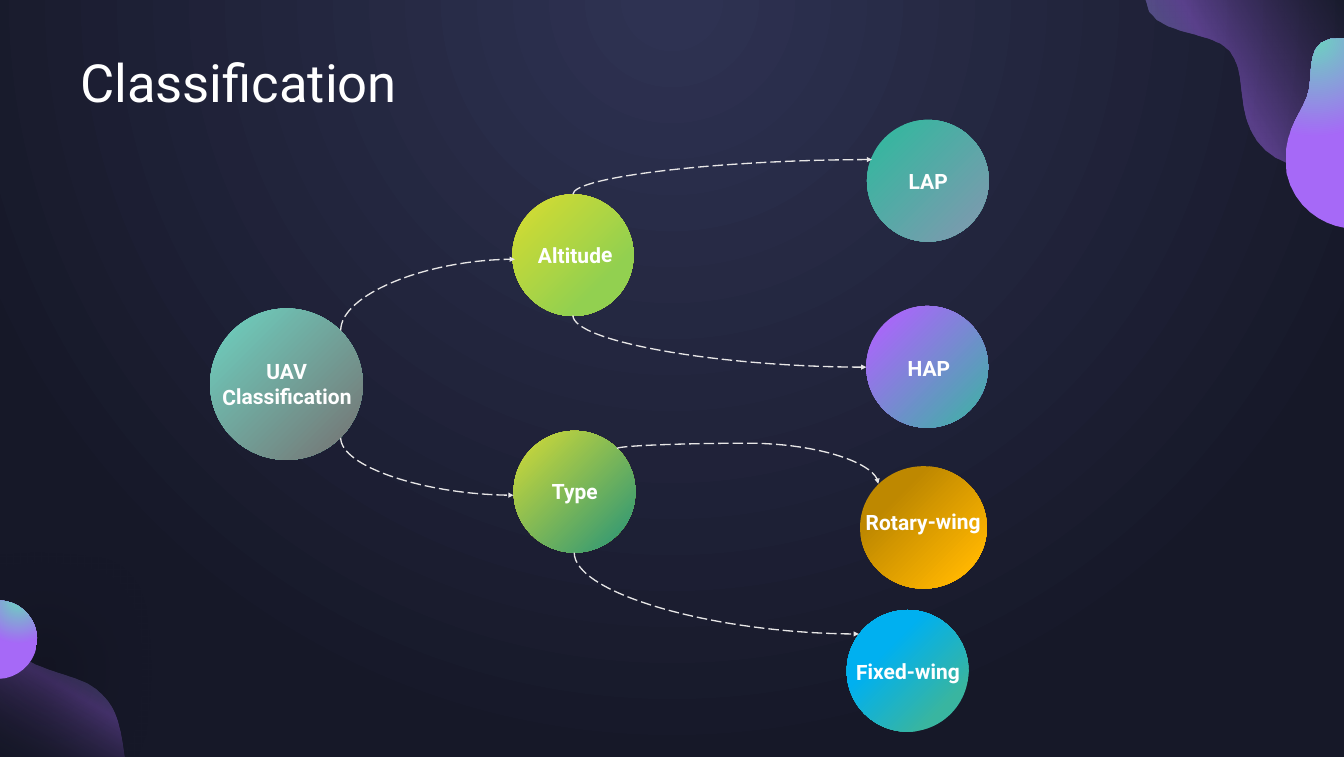
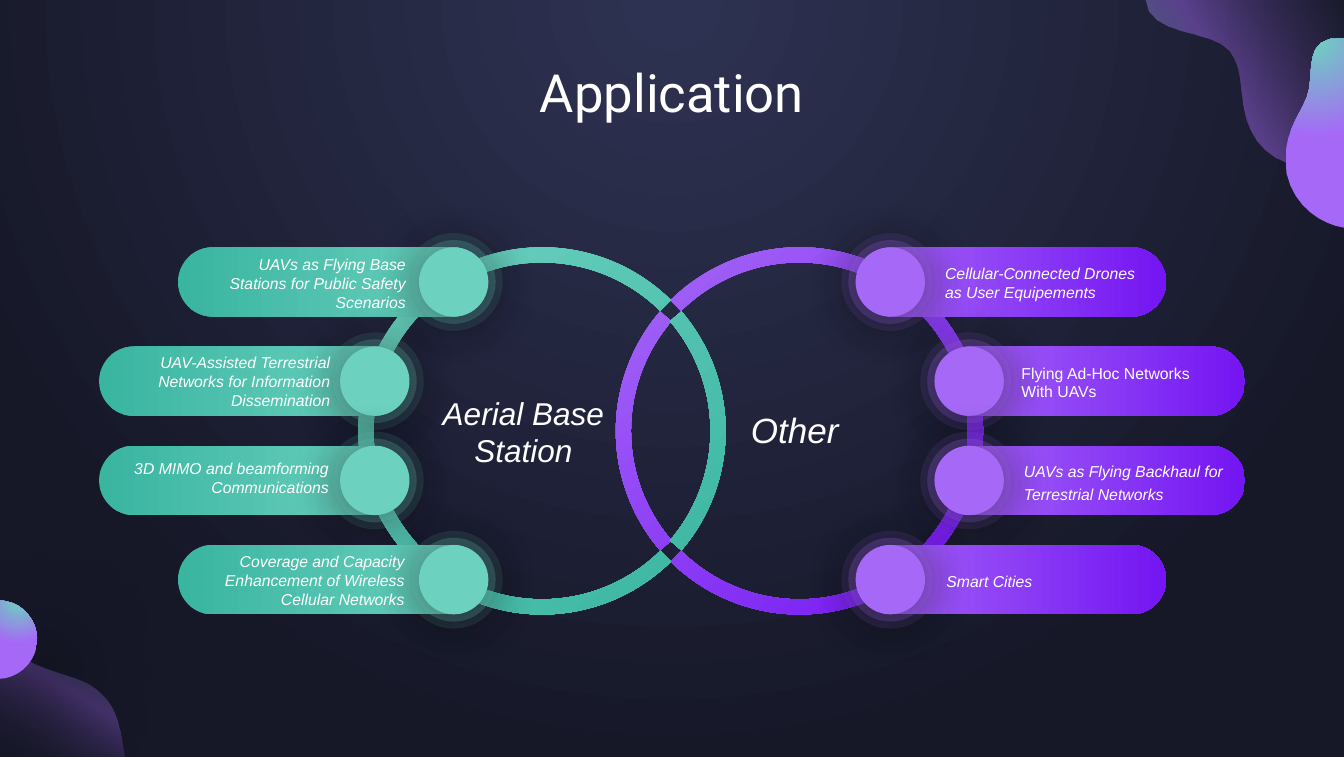
import math
from dataclasses import dataclass
from typing import Any, Optional

import lxml.etree
import pptx
import pptx.dml.color
import pptx.dml.fill
import pptx.enum.dml
import pptx.enum.shapes
import pptx.enum.text
import pptx.oxml.ns
import pptx.shapes.autoshape
import pptx.slide
import pptx.util

COLUMNS, ROWS = 213, 120
CELL = pptx.util.Inches(0.1)
COLOURS = {
    "white": "FFFFFF", "black": "000000", "arrow": "E7E6E6",
    "night": "161828", "dusk": "2E3252", "navy": "181B2C",
    "lilac": "A669F7", "violet": "7415F3", "mint": "6DD1C0", "teal": "39B5A0",
    "lemon": "D8DC30", "lime": "92D050", "olive": "D3DB37", "pine": "259379",
    "steel": "8497B0", "stone": "767171", "bronze": "BE8800", "amber": "FEB500",
    "sky": "00B0F0",
}
LEFT = pptx.enum.text.PP_ALIGN.LEFT
CENTER = pptx.enum.text.PP_ALIGN.CENTER
RIGHT = pptx.enum.text.PP_ALIGN.RIGHT
OVAL = pptx.enum.shapes.MSO_SHAPE.OVAL
PILL = pptx.enum.shapes.MSO_SHAPE.ROUNDED_RECTANGLE
RING_ARC = pptx.enum.shapes.MSO_SHAPE.BLOCK_ARC
Point = tuple[float, float]
Box = tuple[float, float, float, float]


@dataclass(frozen=True)
class Gradient:
    stops: tuple[tuple, ...]
    angle: float = 45
    focus: Optional[tuple[int, int, int, int]] = None


@dataclass(frozen=True)
class Shadow:
    opacity: int
    blur: float
    distance: float
    angle: float


@dataclass(frozen=True)
class Blob:
    start: Point
    segments: tuple[tuple[Point, ...], ...]
    gradient: Gradient
    shadow: Optional[Shadow] = None


@dataclass(frozen=True)
class TextStyle:
    font: str
    size: int
    bold: bool = False
    italic: bool = False


@dataclass(frozen=True)
class Category:
    label: str
    circle: Box
    caption: Box
    gradient: Gradient


@dataclass(frozen=True)
class Branch:
    start: Point
    end: Point
    bulge: Optional[float] = None


@dataclass(frozen=True)
class Side:
    light: str
    deep: str
    facing: int
    align: Any


@dataclass(frozen=True)
class UseCase:
    label: str
    side: Side
    row: int
    caption: Box
    italic: bool = True
    spacing: Optional[float] = None


OVERHEAD = (50, -80, 50, 180)
BACKDROP = Gradient(((2, "dusk"), (100, "night")), focus=OVERHEAD)
GLOW = Gradient(((2, "mint"), (100, "lilac")), focus=OVERHEAD)
BLOBS = (
    Blob((0, 100.9), (((3.6, 106.6), (12.3, 106.6), (15.2, 109.2)),
                      ((18.2, 111.7), (18.9, 113.6), (19.8, 120)), ((0, 120),)),
         Gradient(((0, "navy", 3), (55, "lilac", 33), (100, "mint", 4)), 300)),
    Blob((0, 95.2), (((0.9, 95.3),), ((3.7, 95.8), (5.9, 98.4), (5.9, 101.4)),
                     ((5.9, 104.4), (3.7, 106.9), (0.9, 107.5)), ((0, 107.6),)),
         GLOW, Shadow(60, 100, 49, 45)),
    Blob((181.6, 0), (((182, 6), (192, 4.7), (194.8, 8.1)),
                      ((197.5, 11.6), (195.9, 15.5), (198.1, 20.5)),
                      ((200.4, 25.6), (206, 27.4), (213, 26.5)), ((213, 0),)),
         Gradient(((0, "navy", 25), (55, "lilac", 44), (100, "mint", 40)), 150)),
    Blob((213, 6.1), (((206, 5.5), (208.6, 12), (207.1, 15.5)),
                      ((205.6, 19.1), (203.1, 21.3), (203.9, 27.5)),
                      ((205.1, 32.9), (209.6, 35.6), (213, 36.1))), GLOW),
)
TITLE = TextStyle("Roboto", 60)
CATEGORY = TextStyle("Roboto", 24, bold=True)

CATEGORIES = (
    Category("Altitude", (81.2, 30.8, 19.2, 19.3), (75.8, 37.9, 30.7, 5),
             Gradient(((2, "lemon"), (74, "lime")))),
    Category("LAP", (137.4, 19, 19.3, 19.3), (131.7, 26.2, 30.8, 5),
             Gradient(((15, "teal"), (100, "steel")))),
    Category("Type", (81.4, 68.3, 19.3, 19.3), (76.9, 75.3, 28.4, 5),
             Gradient(((2, "olive"), (100, "pine")))),
    Category("UAV\nClassification", (33.3, 48.9, 24.2, 24), (30.1, 56.3, 30.7, 9.1),
             Gradient(((2, "mint"), (100, "stone")))),
    Category("HAP", (137.3, 48.5, 19.3, 19.3), (133, 55.8, 28.4, 5),
             Gradient(((15, "lilac"), (100, "teal")))),
    Category("Rotary-wing", (136.3, 73.9, 20.1, 19.4), (130.9, 80.2, 30.8, 5),
             Gradient(((26, "bronze"), (85, "amber")))),
    Category("Fixed-wing", (134.2, 96.7, 19.3, 19.3), (129.7, 103.9, 28.4, 5),
             Gradient(((32, "sky"), (80, "teal")), focus=(0, 0, 100, 100))),
)
BRANCHES = (
    Branch((54, 69.4), (81.4, 78.5)),
    Branch((90.8, 50), (137.3, 58.2)),
    Branch((54, 52.4), (81.6, 41.1)),
    Branch((91, 87.6), (136.1, 100.5)),
    Branch((90.8, 30.8), (138.2, 25.3)),
    Branch((97.8, 71.1), (139.2, 76.7), -0.15),
)

STATION = Side("mint", "teal", 180, RIGHT)
OTHER = Side("lilac", "violet", 0, LEFT)
USE_CASES = (
    UseCase("UAVs as Flying Base Stations for Public Safety Scenarios",
            STATION, 0, (31.5, 39.9, 33.8, 9.6)),
    UseCase("UAV-Assisted Terrestrial Networks for Information Dissemination",
            STATION, 1, (15.9, 55.4, 37.4, 9.6)),
    UseCase("3D MIMO and beamforming Communications",
            STATION, 2, (15.7, 72.3, 37.4, 7.1)),
    UseCase("Coverage and Capacity Enhancement of Wireless Cellular Networks",
            STATION, 3, (31.3, 87, 33.8, 9.6)),
    UseCase("Cellular-Connected Drones as User Equipements",
            OTHER, 0, (148.8, 41.3, 33.8, 7.1)),
    UseCase("Flying Ad-Hoc Networks With UAVs",
            OTHER, 1, (160.9, 57.1, 33.8, 7.1), italic=False),
    UseCase("UAVs as Flying Backhaul for Terrestrial Networks",
            OTHER, 2, (161.3, 72.1, 33.8, 8), spacing=1.2),
    UseCase("Smart Cities", OTHER, 3, (149, 90.1, 33.8, 4)),
)
PILL_LEFTS = (28.2, 15.7, 15.7, 28.2)
PILL_TOP, PILL_STEP, PILL_WIDTH, PILL_HEIGHT = 39.2, 15.73, 48.9, 11
KNOB_OFFSET = 43.7
KNOBS = ((15.5, 13, 49), (13.3, 25, 49), (11, 100, 64))
RINGS_CENTRE, RING_OFFSET = (106.3, 68.3), 20.4
RING_RADIUS, RING_THICKNESS = 29.1, 2.4
RING_PARTS = ((-134.6, 134.6), (139.4, 220.6))


def cells(*counts: float) -> list[int]:
    return [round(count * CELL) for count in counts]


def add_node(parent: Any, tag: str, **attributes: Any) -> Any:
    values = {key: str(value) for key, value in attributes.items()}
    return lxml.etree.SubElement(parent, pptx.oxml.ns.qn(tag), values)


def first_node(parent: Any, tag: str) -> Any:
    return next(parent.iter(pptx.oxml.ns.qn(tag)))


def rgb(name: str) -> pptx.dml.color.RGBColor:
    return pptx.dml.color.RGBColor.from_string(COLOURS[name])


def add_colour(parent: Any, name: str, opacity: int = 100) -> None:
    colour = add_node(parent, "a:srgbClr", val=COLOURS[name])
    if opacity < 100:
        add_node(colour, "a:alpha", val=opacity * 1000)


def paint_gradient(fill: pptx.dml.fill.FillFormat, element: Any, gradient: Gradient) -> None:
    fill.gradient()
    node = first_node(element, "a:gradFill")
    for child in list(node):
        node.remove(child)
    stops = add_node(node, "a:gsLst")
    for position, *colour in gradient.stops:
        add_colour(add_node(stops, "a:gs", pos=position * 1000), *colour)
    if gradient.focus is None:
        add_node(node, "a:lin", ang=round(gradient.angle * 60000), scaled=0)
    else:
        sides = {side: share * 1000 for side, share in zip("ltrb", gradient.focus)}
        add_node(add_node(node, "a:path", path="circle"), "a:fillToRect", **sides)


def finish_shape(shape: pptx.shapes.autoshape.Shape, gradient: Optional[Gradient] = None,
                 shadow: Optional[Shadow] = None) -> None:
    shape.line.fill.background()
    shape.shadow.inherit = False
    if gradient:
        paint_gradient(shape.fill, shape.element, gradient)
    if shadow:
        cast = add_node(first_node(shape.element, "a:effectLst"), "a:outerShdw",
                        blurRad=pptx.util.Pt(shadow.blur), dist=pptx.util.Pt(shadow.distance),
                        dir=round(shadow.angle * 60000), algn="ctr", rotWithShape=0)
        add_colour(cast, "black", shadow.opacity)


def trace_curve(controls: tuple[Point, ...], steps: int = 8) -> list[Point]:
    degree = len(controls) - 1
    return [tuple(sum(math.comb(degree, i) * (1 - t) ** (degree - i) * t ** i * control[axis]
                      for i, control in enumerate(controls)) for axis in (0, 1))
            for t in (step / steps for step in range(1, steps + 1))]


def draw_blob(slide: pptx.slide.Slide, blob: Blob) -> None:
    points = [blob.start]
    for segment in blob.segments:
        points += segment if len(segment) == 1 else trace_curve((points[-1], *segment))
    corners = [tuple(cells(*point)) for point in points]
    builder = slide.shapes.build_freeform(*corners[0])
    builder.add_line_segments(corners[1:], close=True)
    finish_shape(builder.convert_to_shape(), blob.gradient, blob.shadow)


def style_text(frame: Any, text: str, style: TextStyle, align: Any,
               spacing: Optional[float] = None) -> None:
    frame.text = text
    frame.word_wrap = True
    for paragraph in frame.paragraphs:
        paragraph.alignment = align
        paragraph.line_spacing = spacing
        for run in paragraph.runs:
            run.font.name, run.font.size = style.font, pptx.util.Pt(style.size)
            run.font.bold, run.font.italic = style.bold, style.italic
            run.font.color.rgb = rgb("white")


def add_caption(slide: pptx.slide.Slide, box: Box, text: str, style: TextStyle, align: Any,
                spacing: Optional[float] = None, rotation: float = 0) -> None:
    caption = slide.shapes.add_textbox(*cells(*box))
    style_text(caption.text_frame, text, style, align, spacing)
    caption.text_frame.auto_size = pptx.enum.text.MSO_AUTO_SIZE.SHAPE_TO_FIT_TEXT
    caption.rotation = rotation


def add_themed_slide(deck: Any, heading: str, box: Box, align: Any) -> pptx.slide.Slide:
    slide = deck.slides.add_slide(deck.slide_layouts[5])
    for blob in BLOBS:
        draw_blob(slide, blob)
    title = slide.shapes.title
    title.left, title.top, title.width, title.height = cells(*box)
    style_text(title.text_frame, heading, TITLE, align, 0.9)
    title.text_frame.vertical_anchor = pptx.enum.text.MSO_ANCHOR.TOP
    title.text_frame.auto_size = pptx.enum.text.MSO_AUTO_SIZE.NONE
    return slide


def draw_category(slide: pptx.slide.Slide, category: Category) -> None:
    circle = slide.shapes.add_shape(OVAL, *cells(*category.circle))
    finish_shape(circle, category.gradient)
    add_caption(slide, category.caption, category.label, CATEGORY, CENTER, rotation=359.5)


def draw_branch(slide: pptx.slide.Slide, branch: Branch) -> None:
    (x0, y0), (x1, y1) = branch.start, branch.end
    middle_x, middle_y = (x0 + x1) / 2, (y0 + y1) / 2
    reach, rise = abs(y1 - y0) / 2, math.copysign((x1 - x0) / 2, y1 - y0)
    arrow = slide.shapes.add_connector(
        pptx.enum.shapes.MSO_CONNECTOR.CURVE,
        *cells(middle_x + reach, middle_y - rise, middle_x - reach, middle_y + rise))
    first_node(arrow.element, "a:xfrm").set("rot", str((270 if y1 > y0 else 90) * 60000))
    bend = first_node(arrow.element, "a:prstGeom")
    if branch.bulge is None:
        bend.set("prst", "curvedConnector2")
    else:
        add_node(first_node(bend, "a:avLst"), "a:gd", name="adj1",
                 fmla=f"val {round(branch.bulge * 100000)}")
    arrow.line.color.rgb = rgb("arrow")
    arrow.line.width = pptx.util.Pt(1.5)
    arrow.line.dash_style = pptx.enum.dml.MSO_LINE.LONG_DASH
    add_node(first_node(arrow.element, "a:ln"), "a:tailEnd", type="triangle")
    add_node(first_node(arrow.element, "p:spPr"), "a:effectLst")


def draw_ring(slide: pptx.slide.Slide, side: Side) -> None:
    centre_x = RINGS_CENTRE[0] + RING_OFFSET * math.cos(math.radians(side.facing))
    size = 2 * RING_RADIUS
    for bounds in RING_PARTS:
        arc = slide.shapes.add_shape(RING_ARC, *cells(
            centre_x - RING_RADIUS, RINGS_CENTRE[1] - RING_RADIUS, size, size))
        for index, bound in enumerate(bounds):
            arc.adjustments[index] = (side.facing + bound) % 360 * 0.6
        arc.adjustments[2] = RING_THICKNESS / size
        finish_shape(arc, Gradient(((0, side.light), (100, side.deep)), 50))


def draw_use_case(slide: pptx.slide.Slide, case: UseCase) -> None:
    side, left = case.side, PILL_LEFTS[case.row]
    top, knob_x = PILL_TOP + PILL_STEP * case.row, left + KNOB_OFFSET
    ends = (side.deep, side.light)
    if side is OTHER:
        left, knob_x, ends = COLUMNS - left - PILL_WIDTH, COLUMNS - knob_x, ends[::-1]
    pill = slide.shapes.add_shape(PILL, *cells(left, top, PILL_WIDTH, PILL_HEIGHT))
    pill.adjustments[0] = 0.5
    finish_shape(pill, Gradient(tuple(zip((0, 100), ends)), 0))
    for size, opacity, blur in KNOBS:
        knob = slide.shapes.add_shape(
            OVAL, *cells(knob_x - size / 2, top + (PILL_HEIGHT - size) / 2, size, size))
        knob.fill.solid()
        knob.fill.fore_color.rgb = rgb(side.light)
        add_node(first_node(knob.element, "a:srgbClr"), "a:alpha", val=opacity * 1000)
        finish_shape(knob, shadow=Shadow(43, blur, 4, 90))
    add_caption(slide, case.caption, case.label, TextStyle("Arial", 18, italic=case.italic),
                side.align, case.spacing)


def main() -> None:
    deck = pptx.Presentation()
    deck.slide_width, deck.slide_height = cells(COLUMNS, ROWS)
    paint_gradient(deck.slide_master.background.fill, deck.slide_master.element, BACKDROP)

    classification = add_themed_slide(deck, "Classification", (11.7, 8.6, 52.3, 10.4), LEFT)
    for category in CATEGORIES:
        draw_category(classification, category)
    for branch in BRANCHES:
        draw_branch(classification, branch)

    application = add_themed_slide(deck, "Application", (52.2, 10.1, 108.6, 18), CENTER)
    for side in (OTHER, STATION):
        draw_ring(application, side)
    for case in USE_CASES:
        draw_use_case(application, case)
    add_caption(application, (67.8, 61.9, 30.3, 13.1), "Aerial Base Station",
                TextStyle("Arial", 36, italic=True), CENTER)
    add_caption(application, (111.5, 64.3, 28.9, 7.7), "Other",
                TextStyle("Arial", 40, italic=True), CENTER)
    deck.save("out.pptx")


if __name__ == "__main__":
    main()
